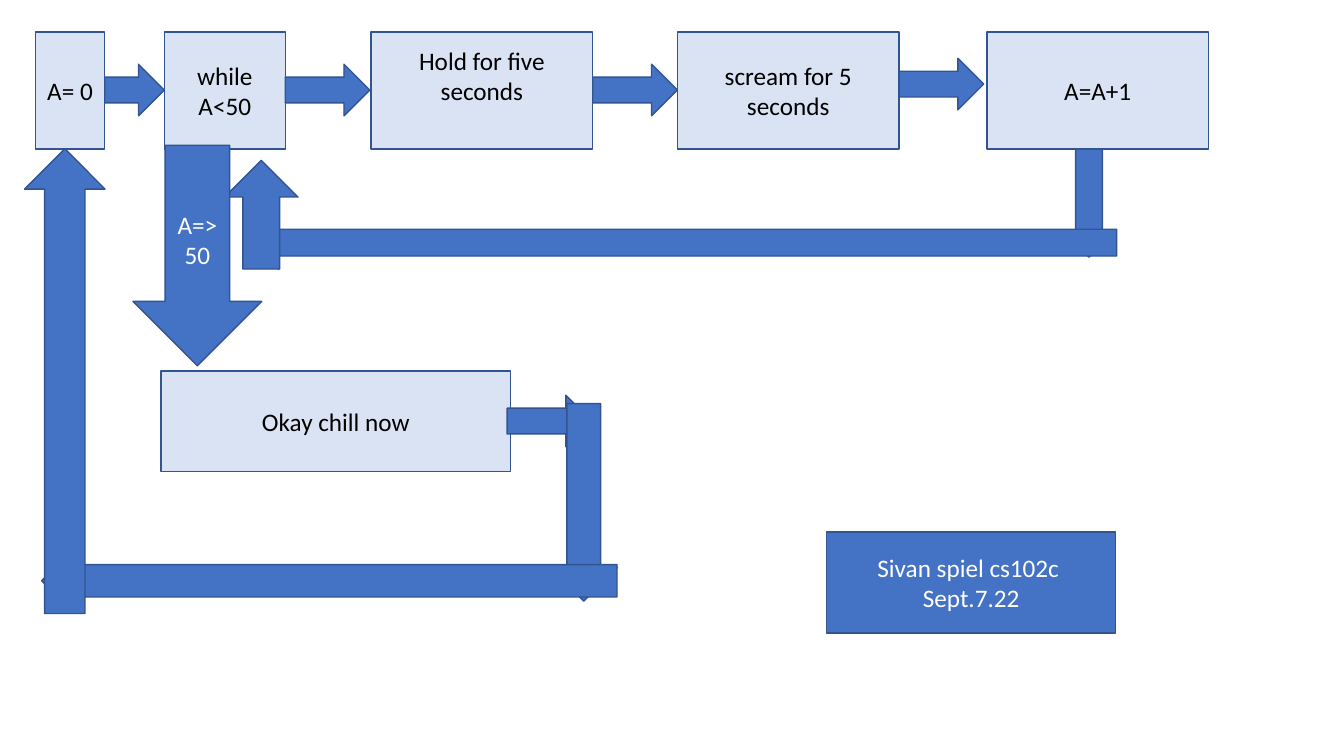
from dataclasses import dataclass
from pptx import Presentation
from pptx.dml.color import RGBColor as Rgb
from pptx.enum.shapes import MSO_SHAPE as Kind
from pptx.enum.text import MSO_ANCHOR as Anchor, PP_ALIGN as Align
from pptx.util import Cm, Pt


@dataclass(frozen=True)
class Theme:
    pale: Rgb = Rgb.from_string("DAE3F3")
    blue: Rgb = Rgb.from_string("4472C4")
    edge: Rgb = Rgb.from_string("325491")
    dark: Rgb = Rgb.from_string("000000")
    light: Rgb = Rgb.from_string("FFFFFF")
    font: str = "Calibri"
    size: Pt = Pt(18)
    rule: Pt = Pt(1)


THEME = Theme()


def put(obj, form):
    for key, val in form.items():
        setattr(obj, key, val)


def block(slide, kind, box, text="", fill=THEME.blue, ink=THEME.light, turn=0):
    """Add one filled shape with centred text."""
    shape = slide.shapes.add_shape(kind, *map(Cm, box))
    shape.rotation = turn
    shape.shadow.inherit = False
    shape.fill.solid()
    shape.fill.fore_color.rgb = fill
    shape.line.color.rgb = THEME.edge
    shape.line.width = THEME.rule
    if text:
        frame = shape.text_frame
        put(frame, {"word_wrap": True, "vertical_anchor": Anchor.MIDDLE})
        frame.text = text
        for para in frame.paragraphs:
            para.alignment = Align.CENTER
            put(para.font, {"name": THEME.font, "size": THEME.size})
            para.font.color.rgb = ink
    return shape


def step(slide, box, text):
    return block(slide, Kind.RECTANGLE, box, text, THEME.pale, THEME.dark)


def steps(slide, left, top):
    """Row of steps, each joined to the next by an arrow."""
    row = [("A= 0", 0, 1.75), ("while A<50", 3.25, 3.05),
           ("Hold for five seconds", 8.46, 5.59),
           ("scream for 5 seconds", 16.18, 5.59), ("A=A+1", 23.98, 5.59)]
    rises = [0.81, 0.81, 0.81, 0.66]
    for text, x, wide in row:
        shape = step(slide, (left + x, top, wide, 2.95), text)
        if text.startswith("Hold"):
            shape.text_frame.margin_bottom = Cm(0.89)
    for (_, x, wide), (_, goal, _), y in zip(row, row[1:], rises):
        end = x + wide
        block(slide, Kind.RIGHT_ARROW,
              (left + end, top + y, min(goal - end, 2.13), 1.3))


def repeat(slide, left, top):
    """Arrows from the last step back to the loop test."""
    for kind, x, y, wide, high in [
            (Kind.DOWN_ARROW, 21.11, 0, 1.35, 2.72),
            (Kind.LEFT_ARROW, 0.69, 1.68, 21.79, 1.35),
            (Kind.UP_ARROW, 0, 0.28, 1.85, 2.74)]:
        block(slide, kind, (left + x, top + y, wide, high))


def leave(slide, left, top):
    """Way out of the loop and back to the start."""
    block(slide, Kind.DOWN_ARROW, (left + 2.3, top, 3.25, 5.56), "A=>50")
    step(slide, (left + 3.01, top + 5.69, 8.81, 2.54), "Okay chill now")
    for turn, x, y, wide, high in [
            (0, 11.73, 6.3, 2.13, 1.3),
            (90, 11.17, 8.15, 4.98, 1.7),
            (180, 0, 10.16, 14.5, 1.63),
            (270, -5.27, 4.93, 11.71, 2.03)]:
        block(slide, Kind.RIGHT_ARROW, (left + x, top + y, wide, high),
              turn=turn)


def credit(slide, left, top):
    """Author and date."""
    block(slide, Kind.RECTANGLE, (left, top, 7.29, 2.54),
          "Sivan spiel cs102c\u00a0\nSept.7.22")


deck = Presentation()
put(deck, {"slide_width": Cm(33.87), "slide_height": Cm(19.05)})
page = deck.slides.add_slide(deck.slide_layouts[6])
steps(page, 0.89, 0.81)
repeat(page, 5.66, 3.76)
leave(page, 1.05, 3.66)
credit(page, 20.83, 13.41)
deck.save("out.pptx")
